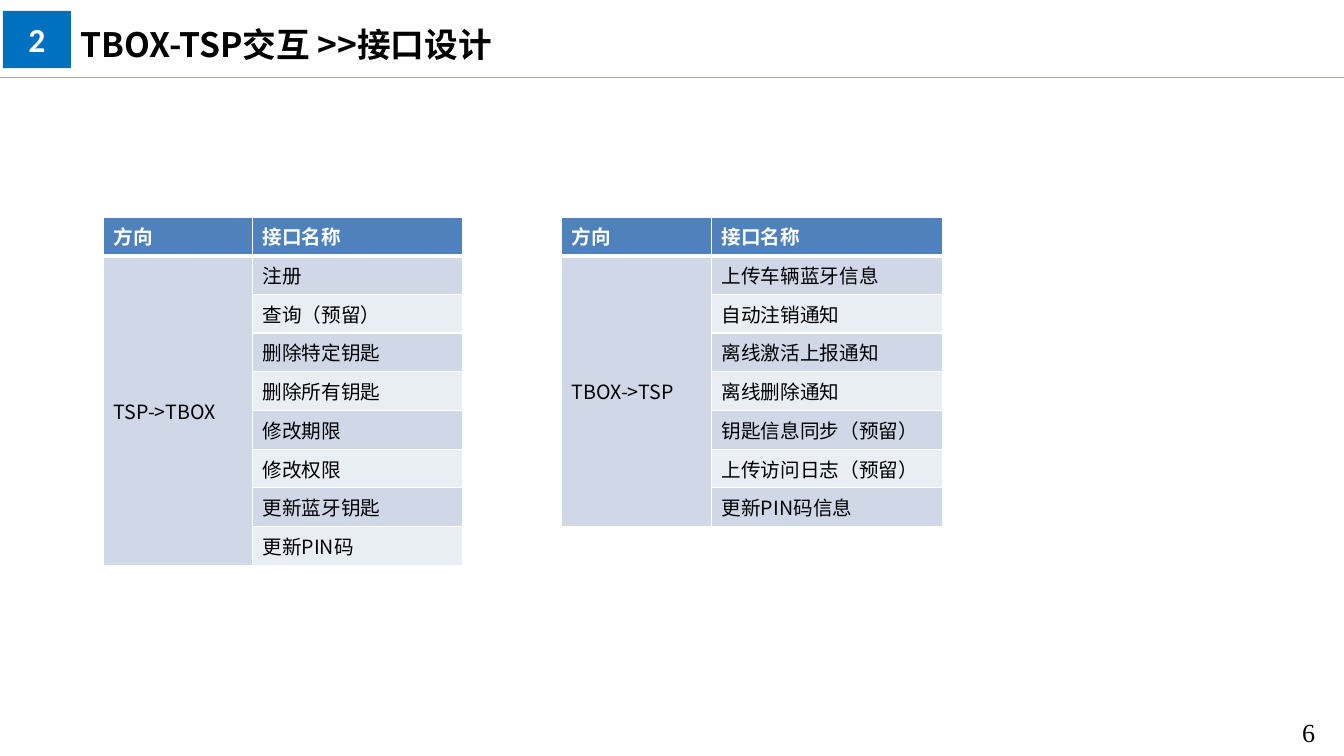
from dataclasses import dataclass

from lxml.etree import SubElement
from pptx import Presentation
from pptx.dml.color import RGBColor
from pptx.enum.shapes import MSO_CONNECTOR, MSO_SHAPE
from pptx.enum.text import MSO_ANCHOR, MSO_AUTO_SIZE, PP_ALIGN
from pptx.oxml import parse_xml
from pptx.oxml.ns import nsdecls, qn
from pptx.slide import Slide
from pptx.table import _Cell
from pptx.text.text import TextFrame
from pptx.util import Pt

CJK_FONT = "Noto Sans CJK SC"
ROW_HEIGHT = 27.65
TABLE_TOP = 155
SLIDE_WIDTH = 960


@dataclass
class InterfaceTable:
    left: float
    widths: tuple[float, float]
    direction: str
    names: list[str]


@dataclass
class TextStyle:
    size: float
    font: str
    color: str = "000000"
    bold: bool = False
    alignment: PP_ALIGN = PP_ALIGN.LEFT


INTERFACE_TABLES = [
    InterfaceTable(74, (106.3, 150.2), "TSP->TBOX", [
        "注册", "查询（预留）", "删除特定钥匙", "删除所有钥匙",
        "修改期限", "修改权限", "更新蓝牙钥匙", "更新PIN码",
    ]),
    InterfaceTable(401, (107.3, 164.9), "TBOX->TSP", [
        "上传车辆蓝牙信息", "自动注销通知", "离线激活上报通知", "离线删除通知",
        "钥匙信息同步（预留）", "上传访问日志（预留）", "更新PIN码信息",
    ]),
]


def color(value: str) -> RGBColor:
    return RGBColor.from_string(value)


def write(text_frame: TextFrame, text: str, style: TextStyle) -> None:
    text_frame.text = text
    paragraph = text_frame.paragraphs[0]
    paragraph.alignment = style.alignment
    for run in paragraph.runs:
        run.font.size = Pt(style.size)
        run.font.bold = style.bold
        run.font.color.rgb = color(style.color)
        run.font.name = style.font
        SubElement(run.font._element, qn("a:ea"), typeface=style.font)


def add_borders(cell: _Cell, top: float, bottom: float) -> None:
    properties = cell._tc.get_or_add_tcPr()
    borders = {"lnL": 1, "lnR": 1, "lnT": top, "lnB": bottom}
    for index, (tag, width) in enumerate(borders.items()):
        properties.insert(index, parse_xml(
            f'<a:{tag} {nsdecls("a")} w="{Pt(width)}"><a:solidFill>'
            f'<a:srgbClr val="FFFFFF"/></a:solidFill></a:{tag}>'
        ))


def add_interface_table(slide: Slide, interface: InterfaceTable) -> None:
    rows = [("方向", "接口名称")] + [("", name) for name in interface.names]
    rows[1] = (interface.direction, interface.names[0])
    frame = slide.shapes.add_table(
        len(rows), 2, Pt(interface.left), Pt(TABLE_TOP),
        Pt(sum(interface.widths)), Pt(ROW_HEIGHT * len(rows)),
    )
    table = frame.table
    for column, width in zip(table.columns, interface.widths):
        column.width = Pt(width)
    for row_index, row in enumerate(rows):
        table.rows[row_index].height = Pt(ROW_HEIGHT)
        header = row_index == 0
        style = TextStyle(14, CJK_FONT, "FFFFFF" if header else "000000", header)
        band = "D0D8E8" if row_index % 2 else "E9EDF4"
        for column_index, text in enumerate(row):
            cell = table.cell(row_index, column_index)
            write(cell.text_frame, text, style)
            cell.fill.solid()
            cell.fill.fore_color.rgb = color("4F81BD" if header else band)
            add_borders(cell, 3 if row_index == 1 else 1, 3 if header else 1)
    direction_cell = table.cell(1, 0)
    direction_cell.merge(table.cell(len(rows) - 1, 0))
    direction_cell.vertical_anchor = MSO_ANCHOR.MIDDLE


def add_rule(slide: Slide, top: float) -> None:
    rule = slide.shapes.add_connector(
        MSO_CONNECTOR.STRAIGHT, Pt(0), Pt(top), Pt(SLIDE_WIDTH), Pt(top)
    )
    rule.line.color.rgb = color("9BBB59")
    rule.line.width = Pt(0.25)
    SubElement(rule._element.spPr, qn("a:effectLst"))


def add_title(slide: Slide) -> None:
    title = slide.shapes.title
    title.left, title.top, title.width, title.height = Pt(50.4), Pt(13.7), Pt(410.4), Pt(29.5)
    text_frame = title.text_frame
    text_frame.auto_size = MSO_AUTO_SIZE.NONE
    text_frame.word_wrap = True
    text_frame.vertical_anchor = MSO_ANCHOR.TOP
    write(text_frame, "TBOX-TSP交互 >>接口设计", TextStyle(24, CJK_FONT, bold=True))


def add_section_number(slide: Slide) -> None:
    shape = slide.shapes.add_shape(
        MSO_SHAPE.RECTANGLE, Pt(2), Pt(7.7), Pt(48.6), Pt(41)
    )
    shape.shadow.inherit = False
    shape.fill.solid()
    shape.fill.fore_color.rgb = color("0070C0")
    shape.line.fill.background()
    shape.text_frame.vertical_anchor = MSO_ANCHOR.MIDDLE
    write(shape.text_frame, "2", TextStyle(24, "Calibri", "FFFFFF", True, PP_ALIGN.CENTER))


def add_page_number(slide: Slide) -> None:
    shape = slide.shapes.add_textbox(Pt(892.5), Pt(505.4), Pt(54), Pt(34.6))
    shape.text_frame.word_wrap = True
    shape.text_frame.vertical_anchor = MSO_ANCHOR.MIDDLE
    write(shape.text_frame, "6", TextStyle(18.6, "Times New Roman", alignment=PP_ALIGN.RIGHT))


def main() -> None:
    presentation = Presentation()
    presentation.slide_width = Pt(SLIDE_WIDTH)
    presentation.slide_height = Pt(540)
    slide = presentation.slides.add_slide(presentation.slide_layouts.get_by_name("Title Only"))
    for top in (54.9, 55.4):
        add_rule(slide, top)
    add_page_number(slide)
    add_title(slide)
    add_section_number(slide)
    for interface in INTERFACE_TABLES:
        add_interface_table(slide, interface)
    presentation.save("out.pptx")


if __name__ == "__main__":
    main()
